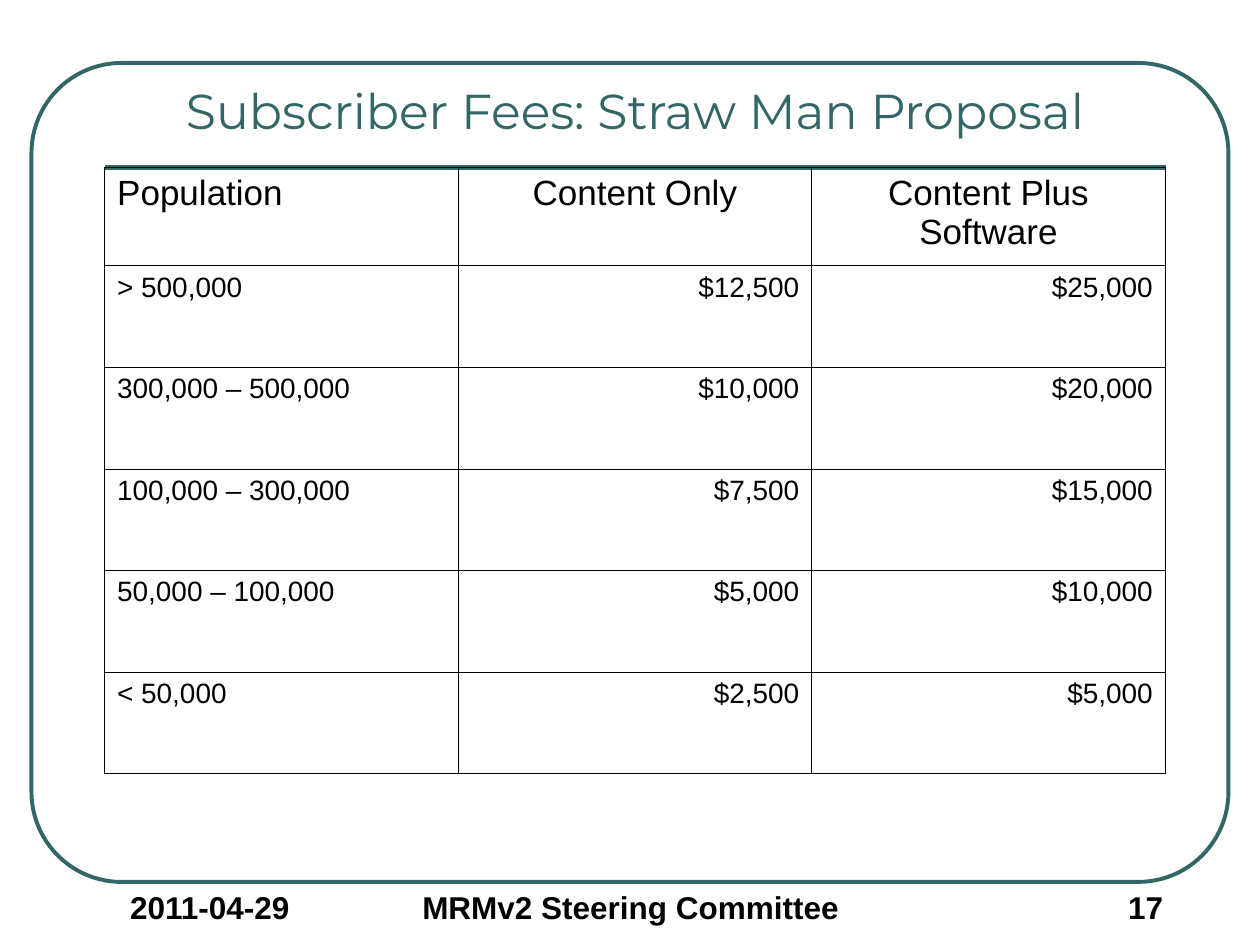
from lxml import etree
from pptx import Presentation
from pptx.dml.color import RGBColor
from pptx.enum.shapes import MSO_CONNECTOR, MSO_SHAPE
from pptx.enum.text import MSO_ANCHOR, MSO_AUTO_SIZE, PP_ALIGN
from pptx.oxml.ns import qn
from pptx.util import Inches, Pt

LEFT, CENTER, RIGHT = PP_ALIGN.LEFT, PP_ALIGN.CENTER, PP_ALIGN.RIGHT
MIDDLE, TOP = MSO_ANCHOR.MIDDLE, MSO_ANCHOR.TOP
NO_AUTOFIT = MSO_AUTO_SIZE.NONE
ROUNDED_RECTANGLE, STRAIGHT = MSO_SHAPE.ROUNDED_RECTANGLE, MSO_CONNECTOR.STRAIGHT

TEAL, BLACK = "336666", "000000"
THIN, THICK = 0.45, 1.08
CONTENT_LEFT, CONTENT_WIDTH = 0.83, 8.42
RULE_TOP = 1.33
HEADER_HEIGHT = 0.78

FEES = [
    ("Population", "Content Only", "Content Plus Software"),
    ("> 500,000", "$12,500", "$25,000"),
    ("300,000 – 500,000", "$10,000", "$20,000"),
    ("100,000 – 300,000", "$7,500", "$15,000"),
    ("50,000 – 100,000", "$5,000", "$10,000"),
    ("< 50,000", "$2,500", "$5,000"),
]


def color(value):
    return RGBColor.from_string(value)


def write(text_frame, text, size, alignment, font="Arial", fill=BLACK, bold=False):
    text_frame.word_wrap = True
    text_frame.text = text
    paragraph = text_frame.paragraphs[0]
    paragraph.alignment = alignment
    for run in paragraph.runs:
        run.font.name = font
        run.font.size = Pt(size)
        run.font.bold = bold
        run.font.color.rgb = color(fill)


def add_frame(slide, left, top, width, height):
    frame = slide.shapes.add_shape(
        ROUNDED_RECTANGLE, Inches(left), Inches(top), Inches(width), Inches(height))
    frame.adjustments[0] = 0.11
    frame.shadow.inherit = False
    frame.fill.background()
    frame.line.color.rgb = color(TEAL)
    frame.line.width = Pt(2.25)


def add_rule(slide, left, top, width):
    rule = slide.shapes.add_connector(
        STRAIGHT, Inches(left), Inches(top), Inches(left + width), Inches(top))
    rule.line.color.rgb = color(TEAL)
    rule.line.width = Pt(3)
    etree.SubElement(rule._element.spPr, qn("a:effectLst"))


def place_title(slide, left, top, width, height):
    title = slide.shapes.title
    title.left, title.top = Inches(left), Inches(top)
    title.width, title.height = Inches(width), Inches(height)
    title.text_frame.auto_size = NO_AUTOFIT
    title.text_frame.vertical_anchor = MIDDLE
    write(title.text_frame, "Subscriber Fees: Straw Man Proposal", 28, CENTER,
          "Montserrat", TEAL)


def set_borders(cell, widths):
    """Draw the left, right, top and bottom borders, with widths in points."""
    properties = cell._tc.get_or_add_tcPr()
    for position, (side, width) in enumerate(zip("LRTB", widths)):
        border = etree.Element(qn(f"a:ln{side}"), w=str(Pt(width)))
        fill = etree.SubElement(border, qn("a:solidFill"))
        etree.SubElement(fill, qn("a:srgbClr"), val=BLACK)
        properties.insert(position, border)


def add_fee_table(slide, left, top, width, height):
    row_count, column_count = len(FEES), len(FEES[0])
    table = slide.shapes.add_table(
        row_count, column_count,
        Inches(left), Inches(top), Inches(width), Inches(height)).table
    for column in table.columns:
        column.width = Inches(width / column_count)
    body_height = (height - HEADER_HEIGHT) / (row_count - 1)
    for row_index, values in enumerate(FEES):
        is_header = row_index == 0
        table.rows[row_index].height = Inches(HEADER_HEIGHT if is_header else body_height)
        for column_index, value in enumerate(values):
            cell = table.cell(row_index, column_index)
            cell.fill.background()
            cell.vertical_anchor = TOP
            alignment = LEFT if column_index == 0 else CENTER if is_header else RIGHT
            write(cell.text_frame, value, 20 if is_header else 16, alignment)
            outer_edges = (column_index == 0, column_index == column_count - 1,
                           is_header, row_index == row_count - 1)
            set_borders(cell, [THICK if outer else THIN for outer in outer_edges])


def add_footer(slide, top, height):
    items = [
        ("2011-04-29", 0.83, 1.67, CENTER),
        ("MRMv2 Steering Committee", 3.17, 3.67, CENTER),
        ("17", 8.33, 1, RIGHT),
    ]
    for text, left, width, alignment in items:
        box = slide.shapes.add_textbox(
            Inches(left), Inches(top), Inches(width), Inches(height))
        write(box.text_frame, text, 18, alignment, bold=True)


def main():
    presentation = Presentation()
    presentation.slide_width, presentation.slide_height = Inches(10), Inches(7.5)
    slide = presentation.slides.add_slide(presentation.slide_layouts[5])
    add_frame(slide, 0.25, 0.5, 9.5, 6.5)
    add_rule(slide, CONTENT_LEFT, RULE_TOP, CONTENT_WIDTH)
    place_title(slide, CONTENT_LEFT, 0.58, CONTENT_WIDTH, 0.58)
    add_fee_table(slide, CONTENT_LEFT, RULE_TOP, CONTENT_WIDTH, 4.81)
    add_footer(slide, 7, 0.5)
    presentation.save("out.pptx")


if __name__ == "__main__":
    main()
